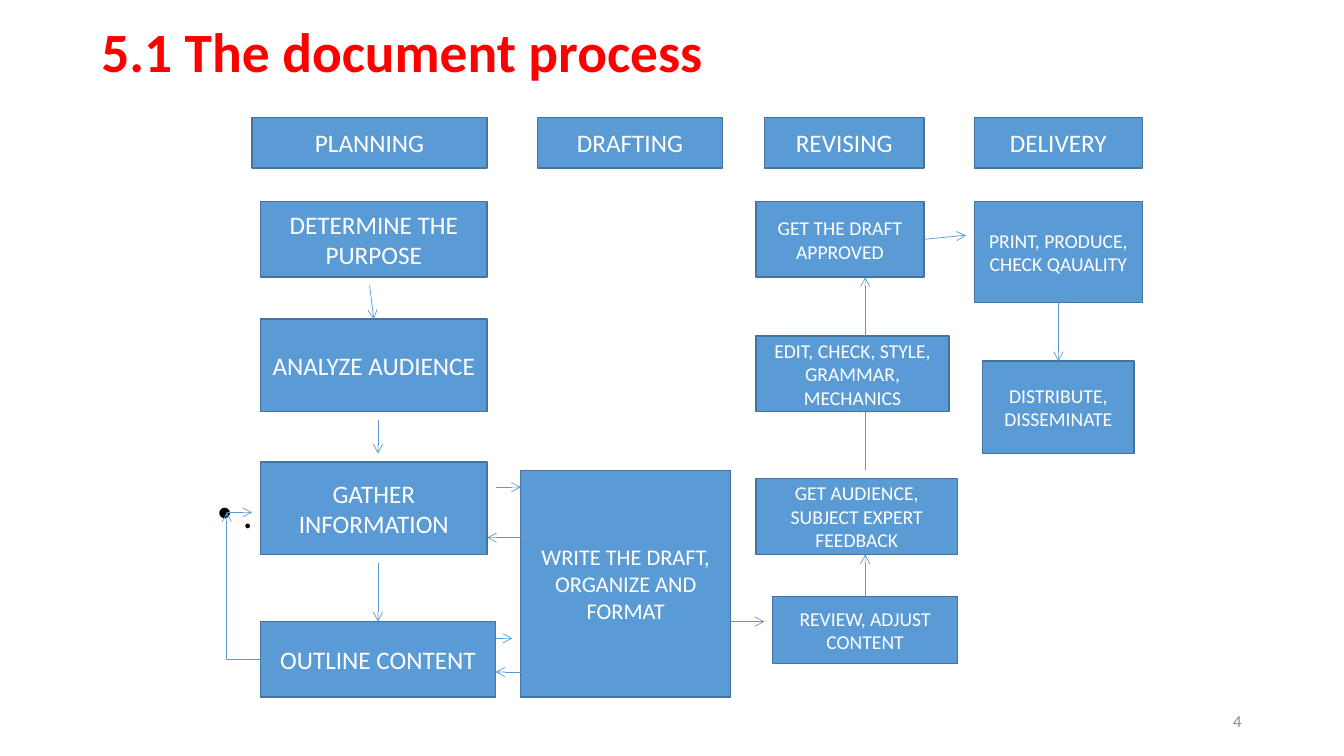
from lxml import etree
from pptx import Presentation
from pptx import util as u
from pptx.dml.color import RGBColor
from pptx.enum import shapes, text
from pptx.oxml.ns import qn

PX = 9525  # EMU in one px, 96 px to the inch
FONT = "Calibri"
RED = RGBColor(0xFF, 0x00, 0x00)
BLACK = RGBColor(0x00, 0x00, 0x00)
WHITE = RGBColor(0xFF, 0xFF, 0xFF)
GREY = RGBColor(0x8C, 0x8C, 0x8C)
BLUE = RGBColor(0x5B, 0x9B, 0xD5)
DARK_BLUE = RGBColor(0x43, 0x73, 0x9E)

# Wording, then left, top, width, height inside the flowchart
PHASES = [
    ("PLANNING", 24, 224),
    ("DRAFTING", 296, 176),
    ("REVISING", 512, 152),
    ("DELIVERY", 712, 160),
]
PLANNING_STEPS = [
    ("DETERMINE THE PURPOSE", 32, 80, 216, 72),
    ("ANALYZE AUDIENCE", 32, 192, 216, 88),
    ("GATHER INFORMATION", 32, 328, 216, 88),
    ("OUTLINE CONTENT", 32, 480, 224, 72),
]
DRAFTING_STEPS = [("WRITE THE DRAFT, ORGANIZE AND FORMAT", 280, 336, 200, 216)]
REVISING_STEPS = [
    ("GET THE DRAFT APPROVED", 504, 80, 160, 72),
    ("EDIT, CHECK, STYLE, GRAMMAR, MECHANICS", 504, 208, 184, 72),
    ("GET AUDIENCE, SUBJECT EXPERT FEEDBACK", 504, 344, 192, 72),
    ("REVIEW, ADJUST CONTENT", 520, 456, 176, 64),
]
DELIVERY_STEPS = [
    ("PRINT, PRODUCE, CHECK QAUALITY", 712, 80, 160, 96),
    ("DISTRIBUTE, DISSEMINATE", 720, 232, 144, 88),
]
# Start x, y and end x, y inside the flowchart
ARROWS = [
    (136, 160, 140, 192), (144, 288, 144, 320), (144, 424, 144, 480),
    (256, 352, 280, 352), (280, 400, 248, 400),
    (256, 496, 272, 496), (280, 528, 256, 528),
    (480, 480, 512, 480),
    (608, 456, 608, 416), (608, 336, 608, 272), (608, 208, 608, 152),
    (664, 116, 704, 112), (792, 176, 792, 232),
]
OUTLINE_TO_LOOP = (32, 516, 0, 376)
LOOP_TO_GATHER = (0, 376, 24, 376)


def px(*lengths):
    return [u.Emu(length * PX) for length in lengths]


def style(paragraph, size, color, align, bold=False):
    paragraph.alignment = align
    for run in paragraph.runs:
        run.font.name = FONT
        run.font.size = u.Pt(size)
        run.font.bold = bold
        run.font.color.rgb = color


def add_label(slide, box, wording, size, color, align=text.PP_ALIGN.LEFT,
              anchor=text.MSO_ANCHOR.MIDDLE, bold=False):
    frame = slide.shapes.add_textbox(*px(*box)).text_frame
    frame.word_wrap = True
    frame.vertical_anchor = anchor
    frame.text = wording
    style(frame.paragraphs[0], size, color, align, bold)
    return frame.paragraphs[0]


def add_title(slide, box):
    title = add_label(slide, box, "5.1 The document process", 39.6, RED, bold=True)
    title.line_spacing = 0.9


def add_bullet_point(slide, box):
    point = add_label(slide, box, ".", 28, BLACK, anchor=text.MSO_ANCHOR.TOP)
    point.line_spacing = 0.9
    properties = point._p.get_or_add_pPr()
    indent = 24 * PX
    properties.set("marL", str(indent))
    properties.set("indent", str(-indent))
    etree.SubElement(properties, qn("a:buFont")).set("typeface", "Arial")
    etree.SubElement(properties, qn("a:buChar")).set("char", "•")


def add_step(slide, box, wording, size):
    step = slide.shapes.add_shape(shapes.MSO_SHAPE.RECTANGLE, *px(*box))
    step.shadow.inherit = False
    step.fill.solid()
    step.fill.fore_color.rgb = BLUE
    step.line.color.rgb = DARK_BLUE
    step.line.width = u.Pt(1)
    frame = step.text_frame
    frame.word_wrap = True
    frame.vertical_anchor = text.MSO_ANCHOR.MIDDLE
    frame.text = wording
    style(frame.paragraphs[0], size, WHITE, text.PP_ALIGN.CENTER)


def add_arrow(slide, origin, ends, kind=shapes.MSO_CONNECTOR.STRAIGHT):
    left, top = origin
    x1, y1, x2, y2 = ends
    arrow = slide.shapes.add_connector(
        kind, *px(left + x1, top + y1, left + x2, top + y2))
    arrow.line.color.rgb = BLUE
    arrow.line.width = u.Pt(0.5)
    head = etree.SubElement(arrow.line._get_or_add_ln(), qn("a:tailEnd"))
    head.set("type", "arrow")
    properties = arrow._element.spPr
    etree.SubElement(properties, qn("a:effectLst"))
    if kind == shapes.MSO_CONNECTOR.ELBOW:  # one corner only
        properties.find(qn("a:prstGeom")).set("prst", "bentConnector2")


def add_phases(slide, origin):
    left, top = origin
    for wording, x, width in PHASES:
        add_step(slide, (left + x, top, width, 48), wording, 18)


def add_steps(slide, origin, steps, size):
    left, top = origin
    for wording, x, y, width, height in steps:
        add_step(slide, (left + x, top + y, width, height), wording, size)


def add_flowchart(slide, origin):
    add_phases(slide, origin)
    add_steps(slide, origin, PLANNING_STEPS, 18)
    add_steps(slide, origin, DRAFTING_STEPS, 16)
    add_steps(slide, origin, REVISING_STEPS + DELIVERY_STEPS, 14)
    for ends in ARROWS:
        add_arrow(slide, origin, ends)
    add_arrow(slide, origin, OUTLINE_TO_LOOP, shapes.MSO_CONNECTOR.ELBOW)
    add_arrow(slide, origin, LOOP_TO_GATHER)


def main():
    deck = Presentation()
    deck.slide_width, deck.slide_height = px(1280, 720)
    slide = deck.slides.add_slide(deck.slide_layouts[6])
    add_title(slide, (87, 24, 984, 56))
    add_bullet_point(slide, (198, 466, 942, 198))
    add_flowchart(slide, (216, 112))
    add_label(slide, (904, 667, 288, 38), "4", 12, GREY, text.PP_ALIGN.RIGHT)
    deck.save("out.pptx")


if __name__ == "__main__":
    main()
